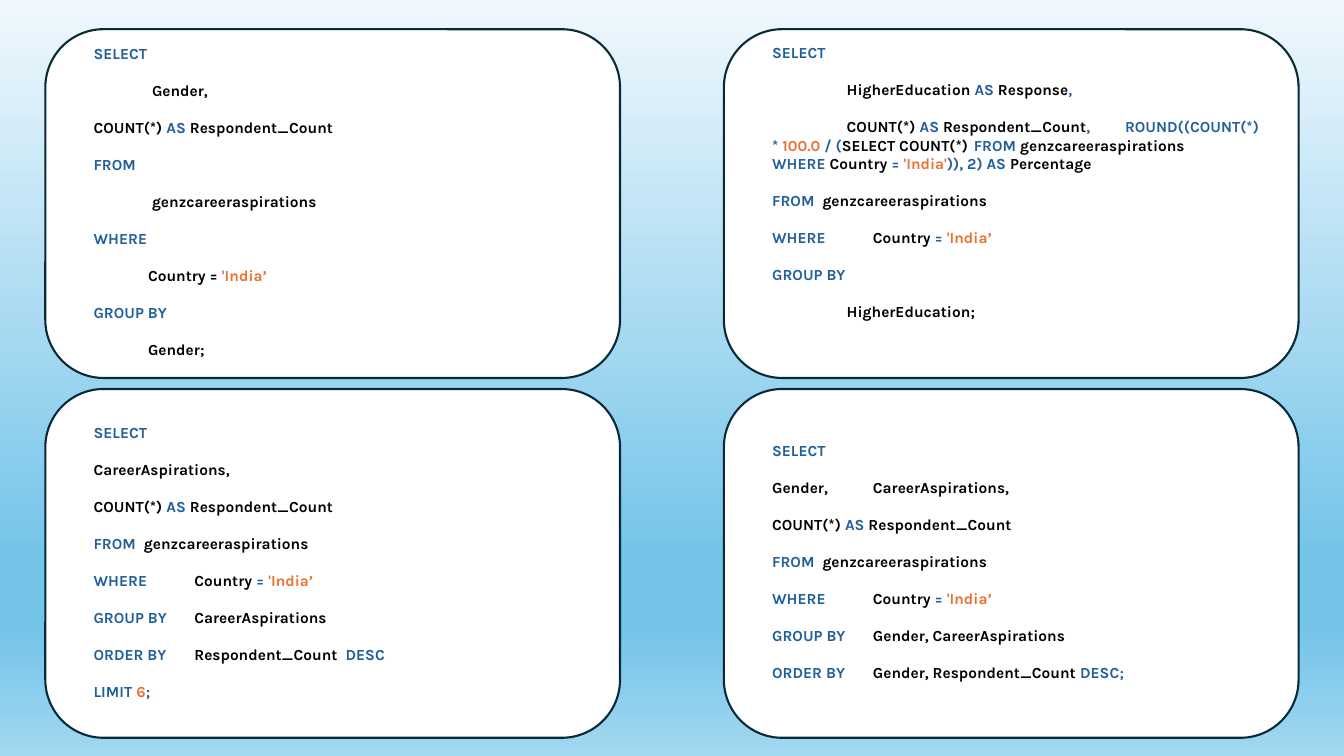
"""Build a slide with four SQL queries on rounded cards."""
from dataclasses import dataclass

from lxml import etree
from pptx import Presentation
from pptx.dml.color import RGBColor
from pptx.enum.shapes import MSO_SHAPE
from pptx.enum.text import MSO_ANCHOR, PP_ALIGN
from pptx.oxml.ns import qn
from pptx.util import Inches, Pt

ROUNDED = MSO_SHAPE.ROUNDED_RECTANGLE
TOP = MSO_ANCHOR.TOP
LEFT = PP_ALIGN.LEFT

WHITE = RGBColor(0xFF, 0xFF, 0xFF)
OUTLINE = RGBColor(0x09, 0x2A, 0x39)
KEYWORD = RGBColor(0x21, 0x5F, 0x9A)
NAME = RGBColor(0x00, 0x00, 0x00)
VALUE = RGBColor(0xE9, 0x71, 0x32)
SKY = (
    (0, RGBColor(0xF0, 0xF8, 0xFD)),
    (74, RGBColor(0x74, 0xC4, 0xE9)),
    (83, RGBColor(0x74, 0xC4, 0xE9)),
    (100, RGBColor(0xA2, 0xD8, 0xF0)),
)

FONT = "Karla"
CARD_WIDTH, CARD_HEIGHT = 5.7, 3.46
CARD_LEFTS = (0.45, 7.18)
CARD_TOPS = (0.29, 3.86)
TEXT_INSET = 0.38


@dataclass
class Line:
    """One line of a query: coloured spans, first-line indent and tab stops."""
    spans: tuple
    indent: float = 0
    tabs: tuple = ()


def keyword(text):
    """Return a line that holds one keyword."""
    return Line(((text, KEYWORD),))


def name(text, indent=0, tabs=()):
    """Return a line that holds only names."""
    return Line(((text, NAME),), indent, tabs)


def clause(word, tab, *spans):
    """Return a line with a keyword and its operands at a tab stop."""
    return Line(((word + "\t", KEYWORD), *spans), tabs=(tab,))


SELECT = keyword("SELECT")
GROUP_BY = keyword("GROUP BY")
COUNT = Line((("COUNT(*) ", NAME), ("AS ", KEYWORD), ("Respondent_Count", NAME)))
FROM = clause("FROM", 0.61, ("genzcareeraspirations", NAME))
WHERE = clause("WHERE", 0.73, ("Country", NAME), (" = ", KEYWORD), ("'India’", VALUE))

GENDER_QUERY = (
    SELECT,
    name("Gender,", 0.58),
    COUNT,
    keyword("FROM"),
    name("genzcareeraspirations", 0.58),
    keyword("WHERE"),
    Line((("Country = ", NAME), ("'India’", VALUE)), 0.54),
    GROUP_BY,
    name("Gender;", 0.54),
)
EDUCATION_QUERY = (
    SELECT,
    Line((("HigherEducation", NAME), (" AS ", KEYWORD), ("Response", NAME),
          (",", KEYWORD)), 0.74),
    Line((("COUNT(*) ", NAME), ("AS ", KEYWORD), ("Respondent_Count", NAME),
          (",\tROUND((COUNT(*) * ", KEYWORD), ("100.0 ", VALUE), ("/ (", KEYWORD),
          ("SELECT COUNT(*)\t", NAME), ("FROM ", KEYWORD),
          ("genzcareeraspirations\t", NAME), ("WHERE ", KEYWORD),
          ("Country", NAME), (" = ", KEYWORD), ("'India'", VALUE),
          (")), 2) AS ", KEYWORD), ("Percentage", NAME)),
         0.74, (1.92, 3.31, 4.1)),
    FROM,
    WHERE,
    GROUP_BY,
    name("HigherEducation;", 0.74),
)
CAREER_QUERY = (
    SELECT,
    name("CareerAspirations,"),
    COUNT,
    FROM,
    WHERE,
    clause("GROUP BY", 0.92, ("CareerAspirations", NAME)),
    Line((("ORDER BY\t", KEYWORD), ("Respondent_Count\t", NAME), ("DESC", KEYWORD)),
         tabs=(0.92, 2.42)),
    Line((("LIMIT ", KEYWORD), ("6", VALUE), (";", KEYWORD))),
)
GENDER_CAREER_QUERY = (
    SELECT,
    name("Gender,\tCareerAspirations,", tabs=(0.71,)),
    COUNT,
    FROM,
    WHERE,
    clause("GROUP BY", 0.92, ("Gender, CareerAspirations", NAME)),
    clause("ORDER BY", 0.92, ("Gender, Respondent_Count", NAME), (" DESC;", KEYWORD)),
)

CARDS = (
    (0, 0, 0.39, 4.94, 3.25, GENDER_QUERY),
    (1, 0, 0.38, 5.06, 2.88, EDUCATION_QUERY),
    (0, 1, 4.15, 4.94, 2.88, CAREER_QUERY),
    (1, 1, 4.33, 4.94, 2.51, GENDER_CAREER_QUERY),
)


def paint_background(page):
    """Fill the page with the vertical sky gradient."""
    fill = page.background.fill
    fill.gradient()
    fill.gradient_angle = 270
    stops = page.element.find(".//" + qn("a:gsLst"))
    for stop in list(stops):
        stops.remove(stop)
    for percent, color in SKY:
        stop = etree.SubElement(stops, qn("a:gs"), pos=str(percent * 1000))
        etree.SubElement(stop, qn("a:srgbClr"), val=str(color))


def add_card(page, left, top):
    """Add a white rounded card."""
    card = page.shapes.add_shape(ROUNDED, Inches(left), Inches(top),
                                 Inches(CARD_WIDTH), Inches(CARD_HEIGHT))
    card.shadow.inherit = False
    card.fill.solid()
    card.fill.fore_color.rgb = WHITE
    card.line.color.rgb = OUTLINE
    card.line.width = Pt(1.5)


def set_indent(para, indent, tabs):
    """Set the first-line indent and the tab stops of a paragraph."""
    properties = para._p.get_or_add_pPr()
    properties.set("marL", "0")
    properties.set("indent", str(Inches(indent)))
    if tabs:
        stops = etree.SubElement(properties, qn("a:tabLst"))
        for tab in tabs:
            etree.SubElement(stops, qn("a:tab"), pos=str(Inches(tab)), algn="l")


def add_span(para, text, color, size=11, bold=True):
    """Add one formatted span of text to a paragraph."""
    span = para.add_run()
    span.text = text
    span.font.name = FONT
    span.font.size = Pt(size)
    span.font.bold = bold
    span.font.color.rgb = color


def add_query(page, left, top, width, height, lines):
    """Add a text box with one paragraph for each line of a query."""
    box = page.shapes.add_textbox(Inches(left), Inches(top),
                                  Inches(width), Inches(height))
    frame = box.text_frame
    frame.word_wrap = True
    frame.vertical_anchor = TOP
    for number, line in enumerate(lines):
        para = frame.add_paragraph() if number else frame.paragraphs[0]
        para.alignment = LEFT
        if number:
            para.space_before = Pt(13.2)
        set_indent(para, line.indent, line.tabs)
        for text, color in line.spans:
            add_span(para, text, color)


def main():
    """Build and save the deck."""
    deck = Presentation()
    deck.slide_width, deck.slide_height = Inches(13.33), Inches(7.5)
    page = deck.slides.add_slide(deck.slide_layouts[6])
    paint_background(page)
    for column, row, text_top, width, height, lines in CARDS:
        left = CARD_LEFTS[column]
        add_card(page, left, CARD_TOPS[row])
        add_query(page, left + TEXT_INSET, text_top, width, height, lines)
    deck.save("out.pptx")


if __name__ == "__main__":
    main()
